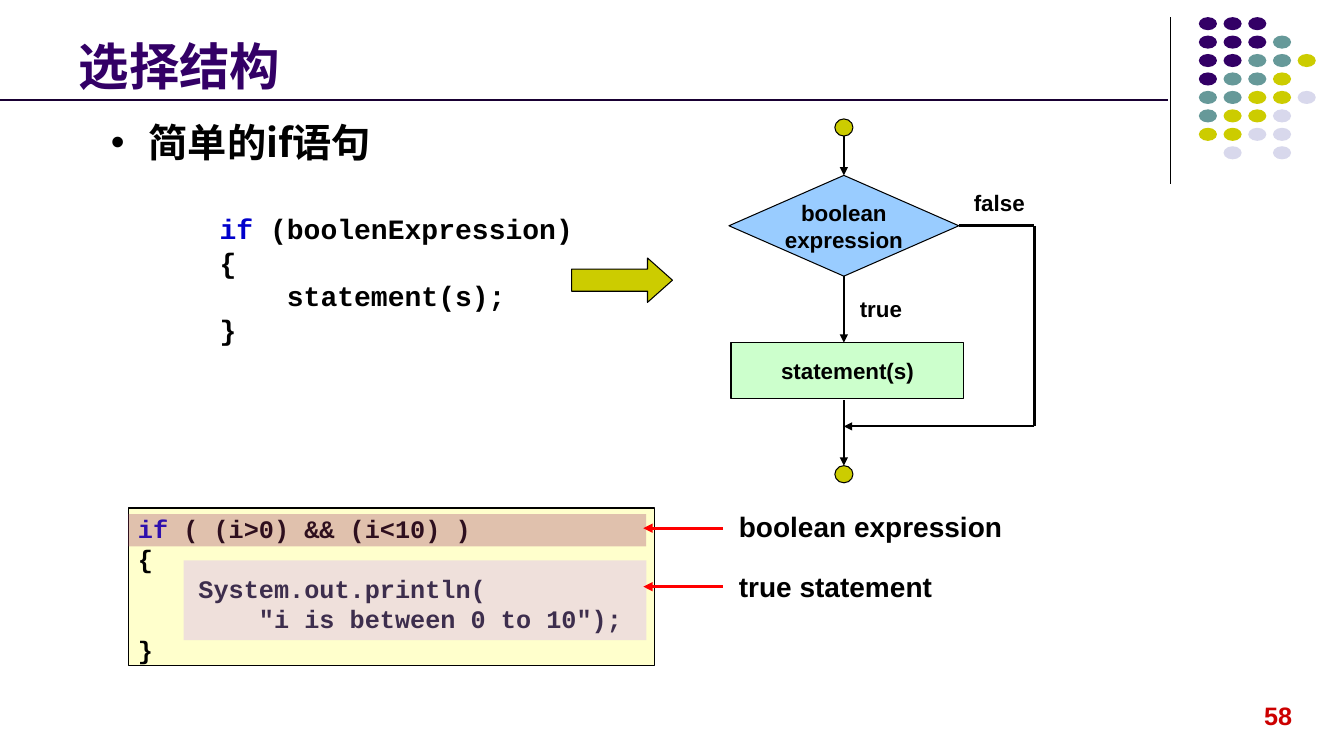
from dataclasses import dataclass

from lxml.etree import SubElement
from pptx import Presentation
from pptx.dml.color import RGBColor
from pptx.enum.shapes import MSO_CONNECTOR, MSO_SHAPE
from pptx.enum.text import MSO_ANCHOR, MSO_AUTO_SIZE, PP_ALIGN
from pptx.oxml.ns import qn
from pptx.util import Inches, Pt


@dataclass(frozen=True)
class Theme:
    ink: str = "000000"
    purple: str = "330066"
    teal: str = "669999"
    olive: str = "CCCC00"
    lilac: str = "D8D8EC"
    rule: str = "190033"
    keyword: str = "0000CC"
    red: str = "FF0000"
    number: str = "CC0000"
    decision: str = "99CCFF"
    process: str = "CCFFCC"
    code_box: str = "FFFFCC"
    condition: str = "993366"
    body: str = "CC99FF"
    sans: str = "Arial"
    mono: str = "Courier New"
    cjk: str = "Noto Sans CJK SC"
    title: int = 36
    bullet: int = 28
    large: int = 20
    medium: int = 18
    small: int = 16


T = Theme()


def write(sp, text, size, font=T.sans, color=T.ink, align=PP_ALIGN.LEFT,
          anchor=MSO_ANCHOR.TOP, wrap=False, keyword=""):
    """Fill a shape with bold text; a leading keyword gets its own colour."""
    tf = sp.text_frame
    tf.text = text
    tf.word_wrap = wrap
    tf.auto_size = MSO_AUTO_SIZE.NONE
    tf.vertical_anchor = anchor
    if keyword:
        p = tf.paragraphs[0]
        p.text = keyword
        p.add_run().text = text.split("\n")[0][len(keyword):]
    for p in tf.paragraphs:
        p.alignment = align
        for r in p.runs:
            r.font.name, r.font.size, r.font.bold = font, Pt(size), True
            r.font.color.rgb = RGBColor.from_string(color)
            SubElement(r.font._element, qn("a:ea"), typeface=T.cjk)
    if keyword:
        tf.paragraphs[0].runs[0].font.color.rgb = RGBColor.from_string(T.keyword)


def add_block(kind, box, fill, outlined=True, alpha=None):
    sp = s.shapes.add_shape(kind, *map(Inches, box))
    sp.shadow.inherit = False
    sp.fill.solid()
    sp.fill.fore_color.rgb = RGBColor.from_string(fill)
    if outlined:
        sp.line.color.rgb = RGBColor.from_string(T.ink)
        sp.line.width = Pt(0.75)
    else:
        sp.line.fill.background()
    if alpha:
        color = sp.fill._xPr.find(qn("a:solidFill"))[0]
        SubElement(color, qn("a:alpha"), val=str(alpha * 1000))
    return sp


prs = Presentation()
prs.slide_width, prs.slide_height = Inches(13.33), Inches(7.5)
s = prs.slides.add_slide(prs.slide_layouts[1])

# Corner dots
dot_colors = {"P": T.purple, "T": T.teal, "Y": T.olive, "L": T.lilac}
dot_rows = ["PPP", "PPPT", "PPTTY", "PTTY", "TTYYL", "TYYL", "YYLL", " L L"]
for row, codes in enumerate(dot_rows):
    for col, code in enumerate(codes):
        if code in dot_colors:
            add_block(MSO_SHAPE.OVAL, (11.89 + 0.245 * col, 0.17 + 0.183 * row, 0.18, 0.13),
                      dot_colors[code], outlined=False)

# Title and bullet
title, body = s.placeholders
title.left, title.top, title.width, title.height = map(Inches, (0.68, 0.21, 11, 0.79))
write(title, "选择结构", T.title, color=T.purple, anchor=MSO_ANCHOR.BOTTOM, wrap=True)
body.left, body.top, body.width, body.height = map(Inches, (1, 1.12, 2.95, 0.57))
p = body.text_frame.paragraphs[0]
pPr = p._p.get_or_add_pPr()
pPr.set("marL", str(Inches(0.38)))
pPr.set("indent", str(-Inches(0.38)))
SubElement(SubElement(pPr, qn("a:buClr")), qn("a:srgbClr"), val=T.purple)
SubElement(pPr, qn("a:buSzPct"), val="70000")
SubElement(pPr, qn("a:buFont"), typeface=T.sans)
SubElement(pPr, qn("a:buChar"), char="■")
write(body, "简单的if语句", T.bullet, font=T.cjk, wrap=True)
p.space_before = Pt(0)

# Flowchart and example blocks
add_block(MSO_SHAPE.FLOWCHART_CONNECTOR, (8.28, 1.18, 0.18, 0.17), T.olive)
end = add_block(MSO_SHAPE.FLOWCHART_CONNECTOR, (8.28, 4.62, 0.18, 0.17), T.olive)
decision = add_block(MSO_SHAPE.FLOWCHART_DECISION, (7.23, 1.74, 2.28, 1), T.decision)
process = add_block(MSO_SHAPE.FLOWCHART_PROCESS, (7.25, 3.4, 2.31, 0.55), T.process)
for sp, text in ((decision, "boolean\nexpression"), (process, "statement(s)")):
    write(sp, text, T.small, align=PP_ALIGN.CENTER, anchor=MSO_ANCHOR.MIDDLE)
arrow = add_block(MSO_SHAPE.RIGHT_ARROW, (5.67, 2.56, 1, 0.44), T.olive)
arrow.adjustments[1] = 0.562
example = add_block(MSO_SHAPE.RECTANGLE, (1.27, 5.04, 5.22, 1.56), T.code_box)
write(example, 'if ( (i>0) && (i<10) )\n{\n    System.out.println(\n'
      '        "i is between 0 to 10");\n}', T.medium, font=T.mono, keyword="if")
add_block(MSO_SHAPE.RECTANGLE, (1.27, 5.1, 5.14, 0.32), T.condition, False, 30)
add_block(MSO_SHAPE.RECTANGLE, (1.82, 5.56, 4.59, 0.79), T.body, False, 30)

# Text boxes
for box, text, style in (
    ((2.08, 2.05, 3.74, 1.45), "if (boolenExpression)\n{\n    statement(s);\n}",
     dict(size=T.large, font=T.mono, keyword="if")),
    ((8.43, 2.88, 0.63, 0.37), "true", dict(size=T.small)),
    ((9.56, 1.83, 0.71, 0.37), "false", dict(size=T.small)),
    ((7.23, 5.01, 2.84, 0.44), "boolean expression", dict(size=T.large)),
    ((7.23, 5.6, 2.13, 0.44), "true statement", dict(size=T.large)),
    ((12.44, 6.9, 0.51, 0.4), "58", dict(size=T.medium, color=T.number)),
):
    write(s.shapes.add_textbox(*map(Inches, box)), text, **style)

# Lines: start, end, colour, width, arrowhead, joined start, joined end
axis, bypass = 8.37, 10.26
for start, stop, color, width, head, source, target in (
    ((11.61, 0.17), (11.61, 1.83), T.ink, 0.75, False, None, None),
    ((0, 0.99), (11.58, 0.99), T.rule, 1.5, False, None, None),
    ((axis, 1.35), (axis, 1.74), T.ink, 1.5, True, None, (decision, 0)),
    ((axis, 2.74), (axis, 3.4), T.ink, 1.5, True, (decision, 2), None),
    ((axis, 3.97), (axis, 4.62), T.ink, 1.5, True, None, (end, 0)),
    ((9.51, 2.24), (bypass, 2.24), T.ink, 2.25, False, (decision, 3), None),
    ((bypass, 2.24), (bypass, 4.23), T.ink, 2.25, False, None, None),
    ((bypass, 4.23), (axis, 4.23), T.ink, 1.5, True, None, None),
    ((7.17, 5.24), (6.38, 5.24), T.red, 2.25, True, None, None),
    ((7.17, 5.82), (6.38, 5.82), T.red, 2.25, True, None, None),
):
    line = s.shapes.add_connector(MSO_CONNECTOR.STRAIGHT, *map(Inches, start + stop))
    line.line.color.rgb = RGBColor.from_string(color)
    line.line.width = Pt(width)
    if head:
        SubElement(line.line._get_or_add_ln(), qn("a:tailEnd"), type="triangle")
    SubElement(line._element.spPr, qn("a:effectLst"))
    if source:
        line.begin_connect(*source)
    if target:
        line.end_connect(*target)

prs.save("out.pptx")
